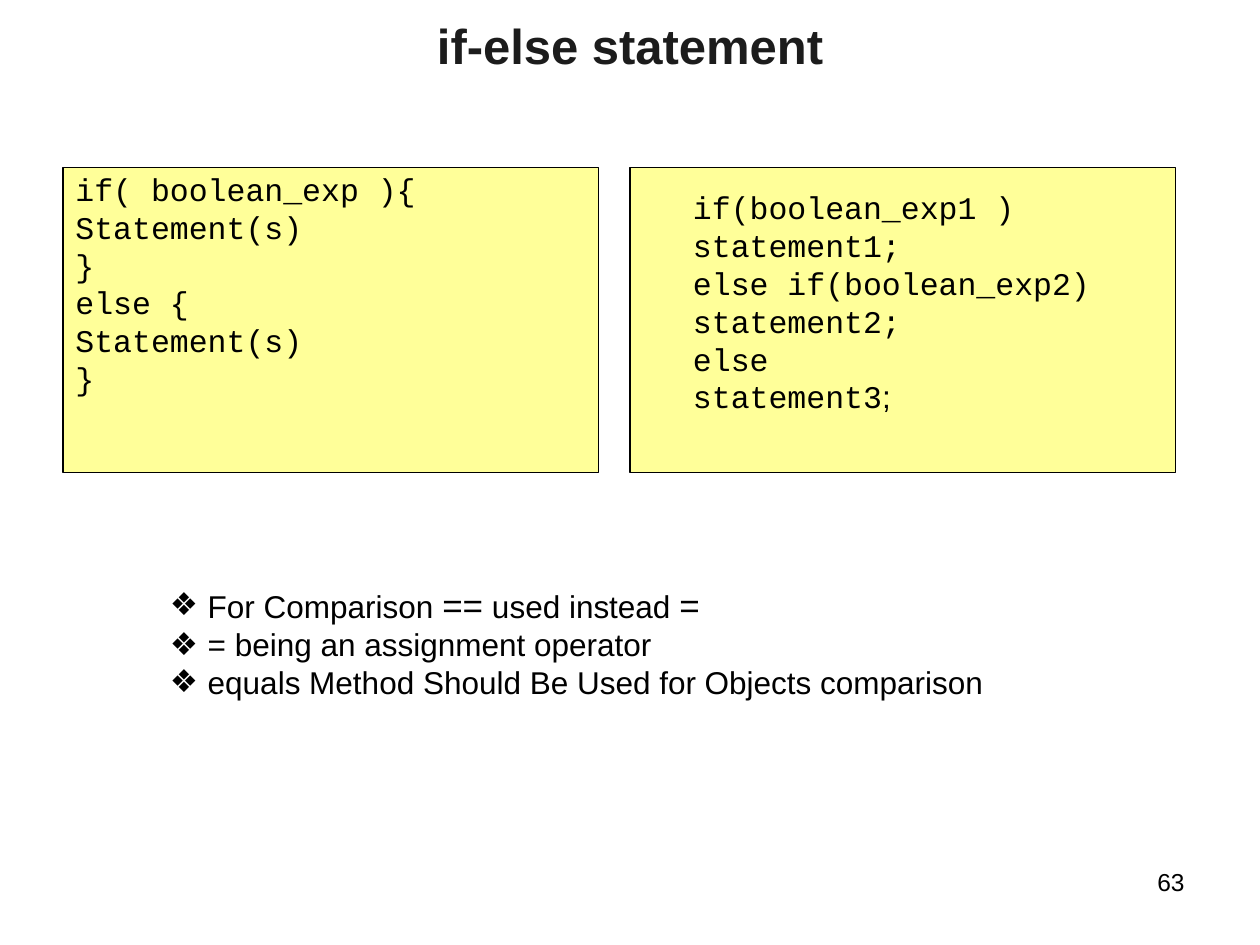
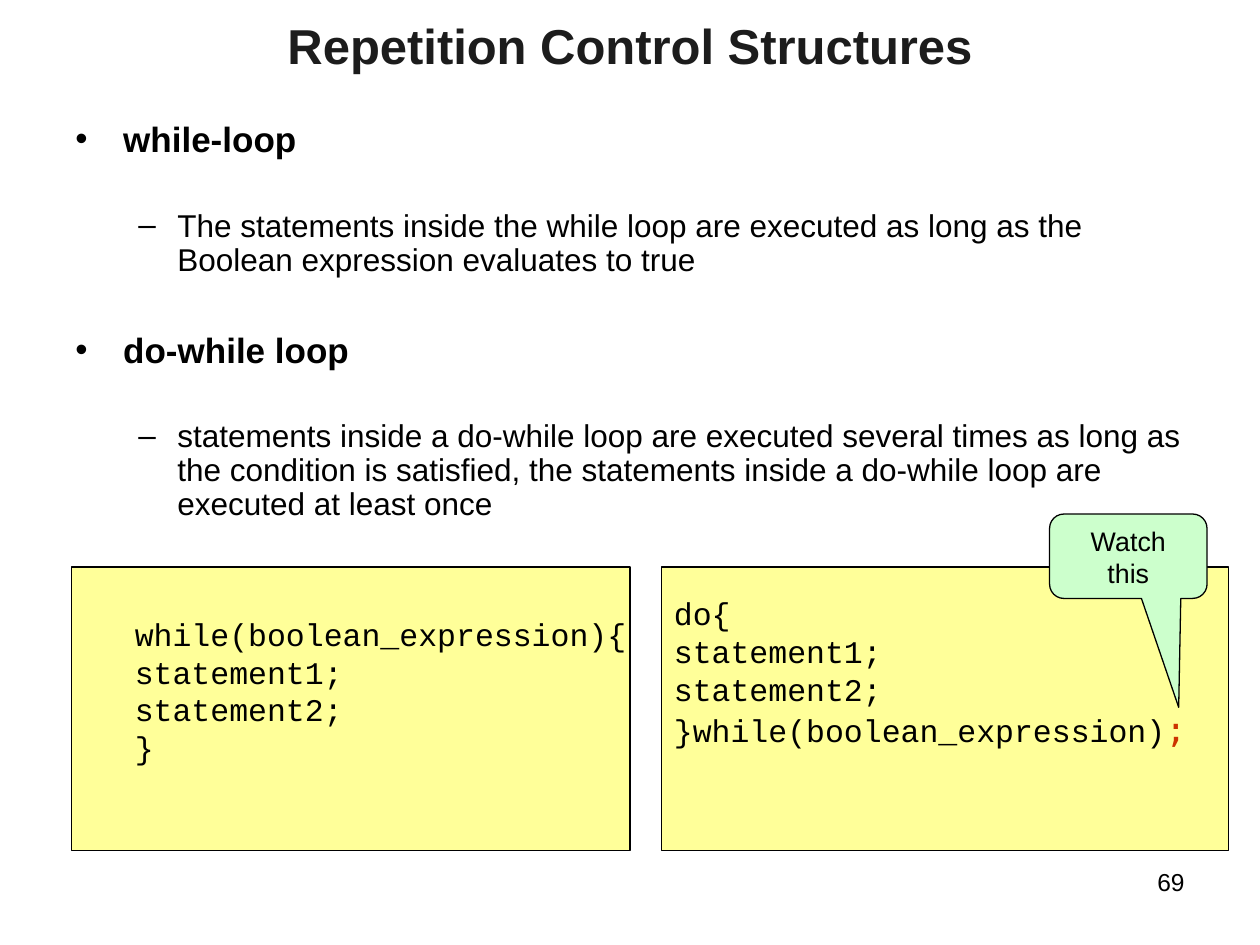
from dataclasses import dataclass

from lxml import etree
from pptx import Presentation
from pptx.dml.color import RGBColor
from pptx.enum.shapes import MSO_SHAPE
from pptx.enum.text import MSO_ANCHOR, MSO_AUTO_SIZE, PP_ALIGN
from pptx.oxml.ns import qn
from pptx.util import Inches, Pt

RECTANGLE = MSO_SHAPE.RECTANGLE
CALLOUT = MSO_SHAPE.ROUNDED_RECTANGULAR_CALLOUT
LEFT, CENTER, RIGHT = PP_ALIGN.LEFT, PP_ALIGN.CENTER, PP_ALIGN.RIGHT
TOP, MIDDLE = MSO_ANCHOR.TOP, MSO_ANCHOR.MIDDLE
NO_AUTOFIT = MSO_AUTO_SIZE.NONE
TITLE_ONLY = 5


@dataclass(frozen=True)
class Theme:
    ink: str = "000000"
    title_ink: str = "1C1C1C"
    alert: str = "CC3300"
    code_fill: str = "FFFF99"
    callout_fill: str = "CCFFCC"
    text_font: str = "Arial"
    code_font: str = "Courier New"
    symbol_font: str = "DejaVu Sans Mono"
    title_size: float = 28
    heading_size: float = 20
    text_size: float = 18
    callout_size: float = 15.3
    number_size: float = 14
    line_width: float = 0.75


THEME = Theme()
TITLE_BOX = (0.5, 0.3, 9, 0.54)
NUMBER_BOX = (7.17, 6.83, 2.33, 0.52)
CODE_LINE = 0.29
CODE_INDENT = 0.5


def inches(box):
    return [Inches(length) for length in box]


def set_margins(text_frame, left=0.1, top=0.05, right=0.1, bottom=0.05):
    text_frame.margin_left = Inches(left)
    text_frame.margin_top = Inches(top)
    text_frame.margin_right = Inches(right)
    text_frame.margin_bottom = Inches(bottom)


def format_run(run, size, font=THEME.text_font, color=THEME.ink, bold=False):
    run.font.size = Pt(size)
    run.font.name = font
    run.font.bold = bold
    run.font.color.rgb = RGBColor.from_string(color)


def format_paragraph(paragraph, size, alignment=LEFT, **style):
    paragraph.alignment = alignment
    for run in paragraph.runs:
        format_run(run, size, **style)


def add_run(paragraph, text, size, **style):
    run = paragraph.add_run()
    run.text = text
    format_run(run, size, **style)


def set_indent(paragraph, left, bullet=None, hanging=0):
    properties = paragraph._p.get_or_add_pPr()
    properties.set("marL", str(Inches(left)))
    properties.set("indent", str(-Inches(hanging)))
    if bullet:
        etree.SubElement(properties, qn("a:buFont"), typeface=THEME.text_font)
        etree.SubElement(properties, qn("a:buChar"), char=bullet)


def add_text_box(slide, box):
    text_frame = slide.shapes.add_textbox(*inches(box)).text_frame
    text_frame.word_wrap = True
    set_margins(text_frame)
    return text_frame


def add_panel(slide, preset, box, fill):
    shape = slide.shapes.add_shape(preset, *inches(box))
    shape.shadow.inherit = False
    shape.fill.solid()
    shape.fill.fore_color.rgb = RGBColor.from_string(fill)
    shape.line.color.rgb = RGBColor.from_string(THEME.ink)
    shape.line.width = Pt(THEME.line_width)
    return shape


def add_titled_slide(presentation, title, number):
    slide = presentation.slides.add_slide(presentation.slide_layouts[TITLE_ONLY])
    placeholder = slide.shapes.title
    placeholder.left, placeholder.top, placeholder.width, placeholder.height = inches(TITLE_BOX)
    text_frame = placeholder.text_frame
    text_frame.text = title
    text_frame.auto_size = NO_AUTOFIT
    text_frame.vertical_anchor = MIDDLE
    set_margins(text_frame, top=0, bottom=0.43)
    format_paragraph(text_frame.paragraphs[0], THEME.title_size, CENTER,
                     color=THEME.title_ink, bold=True)

    number_frame = add_text_box(slide, NUMBER_BOX)
    number_frame.text = str(number)
    format_paragraph(number_frame.paragraphs[0], THEME.number_size, RIGHT)
    return slide


def add_code_box(slide, box, lines, lines_below, indented=False):
    text_frame = add_panel(slide, RECTANGLE, box, THEME.code_fill).text_frame
    text_frame.word_wrap = False
    text_frame.vertical_anchor = MIDDLE
    set_margins(text_frame, left=0 if indented else 0.1,
                bottom=0.05 + lines_below * CODE_LINE)
    text_frame.text = "\n".join(lines)
    for paragraph in text_frame.paragraphs:
        format_paragraph(paragraph, THEME.text_size, font=THEME.code_font)
        if indented:
            paragraph.level = 1
            set_indent(paragraph, CODE_INDENT)
    return text_frame.paragraphs[-1]


def add_comparison_notes(slide, box):
    text, operator = THEME.text_size, THEME.heading_size
    notes = [
        [("For Comparison ", text), ("==", operator),
         (" used instead ", text), ("=", operator)],
        [("= being an assignment operator", text)],
        [("equals Method Should Be Used for Objects comparison", text)],
    ]
    text_frame = add_text_box(slide, box)
    for index, note in enumerate(notes):
        paragraph = text_frame.add_paragraph() if index else text_frame.paragraphs[0]
        set_indent(paragraph, 0.3, "❖", 0.3)
        for words, size in note:
            add_run(paragraph, words, size)


def add_loop_descriptions(slide, box, loops):
    text_frame = add_text_box(slide, box)
    text_frame.text = "\n".join(line for loop in loops for line in loop)
    for index, paragraph in enumerate(text_frame.paragraphs):
        paragraph.line_spacing = 0.9
        if index % 2:
            paragraph.level = 1
            paragraph.space_before = Pt(28.5)
            set_indent(paragraph, 0.81, "–", 0.31)
            format_paragraph(paragraph, THEME.text_size)
        else:
            paragraph.space_before = Pt(31.5 if index else 5)
            set_indent(paragraph, 0.38, "•", 0.38)
            format_paragraph(paragraph, THEME.heading_size, bold=True)


def add_callout(slide, box, text):
    shape = add_panel(slide, CALLOUT, box, THEME.callout_fill)
    for index, value in enumerate((0.32, 1.79, 0.17)):
        shape.adjustments[index] = value
    text_frame = shape.text_frame
    text_frame.word_wrap = True
    text_frame.vertical_anchor = TOP
    set_margins(text_frame)
    text_frame.text = text
    format_paragraph(text_frame.paragraphs[0], THEME.callout_size, CENTER)


def build_if_else(presentation):
    slide = add_titled_slide(presentation, "if-else statement", 63)
    add_code_box(slide, (0.5, 1.33, 4.25, 2.42),
                 ["if( boolean_exp ){", "Statement(s)", "}",
                  "else {", "Statement(s)", "}"], lines_below=2)
    last_line = add_code_box(slide, (5, 1.33, 4.33, 2.42),
                             ["if(boolean_exp1 )", "statement1;",
                              "else if(boolean_exp2)", "statement2;",
                              "else", "statement3"], lines_below=1, indented=True)
    add_run(last_line, ";", THEME.text_size)
    add_comparison_notes(slide, (1.25, 4.58, 6.92, 1.34))


def build_repetition(presentation):
    slide = add_titled_slide(presentation, "Repetition Control Structures", 69)
    add_loop_descriptions(slide, (0.5, 0.92, 9, 5.78), [
        ("while-loop",
         "The statements inside the while loop are executed as long as the "
         "Boolean expression evaluates to true"),
        ("do-while loop",
         "statements inside a do-while loop are executed several times as long as "
         "the condition is satisfied, the statements inside a do-while loop are "
         "executed at least once"),
    ])
    add_code_box(slide, (0.57, 4.5, 4.43, 2.25),
                 ["while(boolean_expression){", "statement1;", "statement2;", "}"],
                 lines_below=1, indented=True)
    last_line = add_code_box(slide, (5.25, 4.5, 4.5, 2.25),
                             ["do{", "statement1;", "statement2;",
                              "}while(boolean_expression)"], lines_below=2)
    add_run(last_line, ";", THEME.heading_size, font=THEME.symbol_font, color=THEME.alert)
    add_callout(slide, (8.33, 4.08, 1.25, 0.67), "Watch this")


def main():
    presentation = Presentation()
    presentation.slide_width = Inches(10)
    presentation.slide_height = Inches(7.5)
    build_if_else(presentation)
    build_repetition(presentation)
    presentation.save("out.pptx")


if __name__ == "__main__":
    main()
